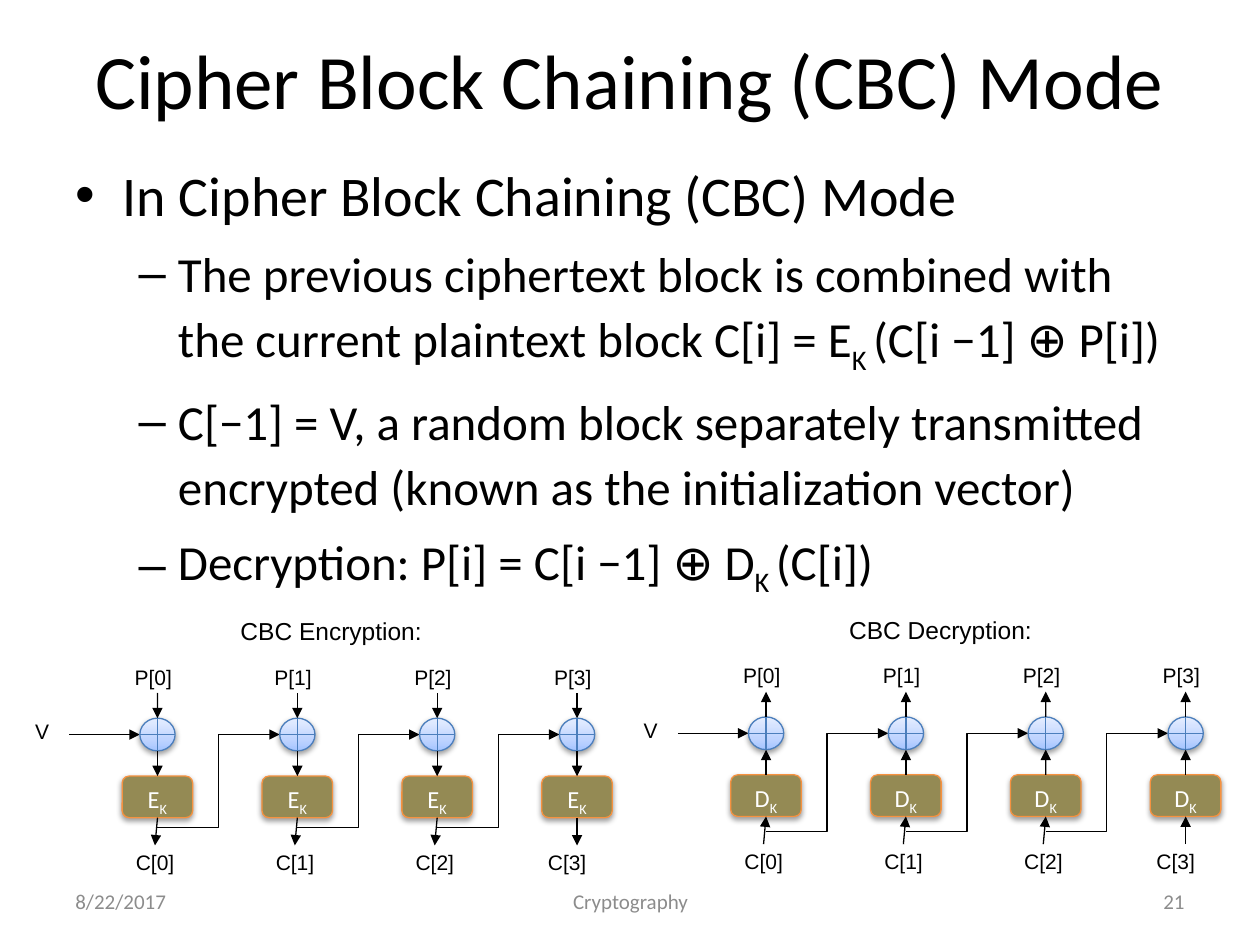
from dataclasses import dataclass
from itertools import accumulate
from typing import NamedTuple, Optional

import pptx
import pptx.dml.color
import pptx.enum.shapes
import pptx.enum.text
import pptx.oxml.ns
import pptx.util
from lxml import etree

inch = pptx.util.Inches
qn = pptx.oxml.ns.qn
SHAPE = pptx.enum.shapes.MSO_SHAPE
CONNECTOR = pptx.enum.shapes.MSO_CONNECTOR
ALIGN = pptx.enum.text.PP_ALIGN
ANCHOR = pptx.enum.text.MSO_ANCHOR
FIT = pptx.enum.text.MSO_AUTO_SIZE


@dataclass(frozen=True)
class Theme:
    text: str = "000000"
    muted: str = "8C8C8C"
    light: str = "FFFFFF"
    cipher: str = "948A54"
    cipher_line: str = "F69240"
    xor_line: str = "4B7EBC"
    xor_stops: tuple = ((0, "A4C4FF"), (35, "BFD4FF"), (100, "E6EEFF"))
    main: str = "Calibri"
    diagram: str = "Arial"
    title: int = 44
    body: tuple = (32, 28)
    heading: int = 14
    label: int = 12
    line: float = 0.75
    tight: float = 0.93


class Box(NamedTuple):
    left: float
    top: float
    width: float
    height: float

    def lengths(self) -> list:
        return [inch(v) for v in self]


class End(NamedTuple):
    x: float
    y: float
    shape: Optional[object] = None
    site: int = 0


@dataclass(frozen=True)
class Panel:
    heading: str
    cipher: str
    left: float
    top: float
    feedback: float
    upward: bool


T = Theme()
PITCH, COL = 1.11, 0.56
MID, QUARTER = COL / 2, COL / 4
ROW_HEIGHTS = (0.26, 0.2, 0.26, 0.2, 0.33, 0.22)
PLAIN, STUB, XOR, LINK, CIPHER, OUT, CODE = accumulate(ROW_HEIGHTS, initial=0)
XOR_MID = (XOR + LINK) / 2
BLOCKS = 4
PANELS = (
    Panel("CBC Encryption:", "E~K", 0.97, 5.24, 0.08, False),
    Panel("CBC Decryption:", "D~K", 5.8, 5.23, 0.12, True),
)
BULLETS = (
    (0, "In Cipher Block Chaining (CBC) Mode"),
    (1, "The previous ciphertext block is combined with the current plaintext block "
        "C[i] = E~K ~(C[i −1] ⊕ P[i])"),
    (1, "C[−1] = V, a random block separately transmitted encrypted "
        "(known as the initialization vector)"),
    (1, "Decryption: P[i] = C[i −1] ⊕ D~K ~(C[i])"),
)
FOOTERS = (
    ("8/22/2017", 0.5, 2.33, ALIGN.LEFT),
    ("Cryptography", 3.42, 3.17, ALIGN.CENTER),
    ("21", 7.17, 2.33, ALIGN.RIGHT),
)


def rgb(value: str):
    return pptx.dml.color.RGBColor.from_string(value)


def write(p, text: str, size=T.label, font=T.diagram, color=T.text,
          align=None, spacing=None) -> None:
    p.alignment = align
    p.line_spacing = spacing
    for i, part in enumerate(text.split("~")):
        r = p.add_run()
        r.text = part
        r.font.size = pptx.util.Pt(size)
        r.font.name = font
        r.font.color.rgb = rgb(color)
        if i % 2:
            r._r.get_or_add_rPr().set("baseline", "-25000")


def place(sp, box: Box) -> None:
    sp.left, sp.top, sp.width, sp.height = box.lengths()


def text_box(s, text: str, box: Box, wrap=False, anchor=ANCHOR.TOP,
             fit=FIT.SHAPE_TO_FIT_TEXT, spacing=T.tight, **style) -> None:
    tf = s.shapes.add_textbox(*box.lengths()).text_frame
    tf.word_wrap, tf.auto_size, tf.vertical_anchor = wrap, fit, anchor
    write(tf.paragraphs[0], text, spacing=spacing, **style)


def block(s, kind, box: Box, line: str):
    sp = s.shapes.add_shape(kind, *box.lengths())
    sp.line.color.rgb = rgb(line)
    sp.line.width = pptx.util.Pt(T.line)
    sp.shadow.inherit = False
    effects = sp._element.spPr.find(qn("a:effectLst"))
    shadow = etree.SubElement(effects, qn("a:outerShdw"), blurRad="40000",
                              dist="20000", dir="5400000", rotWithShape="0")
    color = etree.SubElement(shadow, qn("a:srgbClr"), val="000000")
    etree.SubElement(color, qn("a:alpha"), val="38000")
    return sp


def xor_node(s, box: Box):
    sp = block(s, SHAPE.FLOWCHART_OR, box, T.xor_line)
    sp.fill.gradient()
    sp.fill.gradient_angle = 90
    stops = sp._element.spPr.find(".//" + qn("a:gsLst"))
    for old in list(stops):
        stops.remove(old)
    for pos, value in T.xor_stops:
        stop = etree.SubElement(stops, qn("a:gs"), pos=str(pos * 1000))
        etree.SubElement(stop, qn("a:srgbClr"), val=value)
    return sp


def cipher_node(s, text: str, box: Box):
    sp = block(s, SHAPE.ROUNDED_RECTANGLE, box, T.cipher_line)
    sp.fill.solid()
    sp.fill.fore_color.rgb = rgb(T.cipher)
    tf = sp.text_frame
    tf.vertical_anchor = ANCHOR.TOP
    write(tf.paragraphs[0], text, size=T.heading, font=T.main, color=T.light,
          align=ALIGN.CENTER, spacing=T.tight)
    return sp


def arrow(s, start: End, end: End, kind=CONNECTOR.STRAIGHT, flip=False) -> None:
    if flip:
        start, end = end, start
    c = s.shapes.add_connector(kind, *(inch(v) for v in (*start[:2], *end[:2])))
    if start.shape is not None:
        c.begin_connect(start.shape, start.site)
    if end.shape is not None:
        c.end_connect(end.shape, end.site)
    c.line.color.rgb = rgb(T.text)
    c.line.width = pptx.util.Pt(T.line)
    etree.SubElement(c.line._get_or_add_ln(), qn("a:tailEnd"), type="triangle")
    etree.SubElement(c._element.spPr, qn("a:effectLst"))


def draw_block(s, panel: Panel, i: int) -> None:
    x, y = panel.left + PITCH * i, panel.top
    mid, last = x + MID, i == BLOCKS - 1
    xor = xor_node(s, Box(x + QUARTER, y + XOR, MID, LINK - XOR))
    cipher = cipher_node(s, panel.cipher, Box(x, y + CIPHER, COL, OUT - CIPHER))
    text_box(s, f"P[{i}]", Box(x, y + PLAIN, 0.5, 0.29))
    text_box(s, f"C[{i}]", Box(x - 0.05 if last else x + 0.01, y + CODE, 0.51, 0.29))
    arrow(s, End(mid, y + STUB), End(mid, y + XOR, xor, 0), flip=panel.upward)
    arrow(s, End(mid, y + LINK), End(mid, y + CIPHER, cipher, 0), flip=panel.upward)
    arrow(s, End(mid, y + OUT, cipher, 2), End(mid if last else mid - 0.02, y + CODE),
          flip=panel.upward)
    if not last:
        arrow(s, End(mid, y + OUT + panel.feedback),
              End(x + PITCH + QUARTER, y + XOR_MID), kind=CONNECTOR.ELBOW)


def draw_panel(s, panel: Panel) -> None:
    x, y = panel.left, panel.top
    text_box(s, panel.heading, Box(x + 0.84, y - 0.38, 1.65, 0.32), size=T.heading)
    text_box(s, "V", Box(x - 0.8, y + 0.43, 0.33, 0.29), wrap=True, align=ALIGN.CENTER)
    arrow(s, End(x - 0.42, y + XOR_MID), End(x + QUARTER, y + XOR_MID))
    for i in range(BLOCKS):
        draw_block(s, panel, i)


def main() -> None:
    prs = pptx.Presentation()
    prs.slide_width, prs.slide_height = inch(10), inch(7.5)
    s = prs.slides.add_slide(prs.slide_layouts[1])

    title, body = s.shapes.title, s.placeholders[1]
    place(title, Box(0.5, 0, 9, 1.25))
    place(body, Box(0.5, 1.17, 9, 3.58))
    for sp in (title, body):
        sp.text_frame.auto_size = FIT.NONE
    write(title.text_frame.paragraphs[0], "Cipher Block Chaining (CBC) Mode",
          size=T.title, font=T.main, align=ALIGN.CENTER)
    for i, (level, text) in enumerate(BULLETS):
        tf = body.text_frame
        p = tf.add_paragraph() if i else tf.paragraphs[0]
        p.level = level
        if not i:
            p.space_before = pptx.util.Pt(0)
        write(p, text, size=T.body[level], font=T.main, spacing=1.1)

    for text, left, width, align in FOOTERS:
        text_box(s, text, Box(left, 6.95, width, 0.4), wrap=True, anchor=ANCHOR.MIDDLE,
                 fit=FIT.NONE, spacing=None, font=T.main, color=T.muted, align=align)
    for panel in PANELS:
        draw_panel(s, panel)
    prs.save("out.pptx")


if __name__ == "__main__":
    main()
